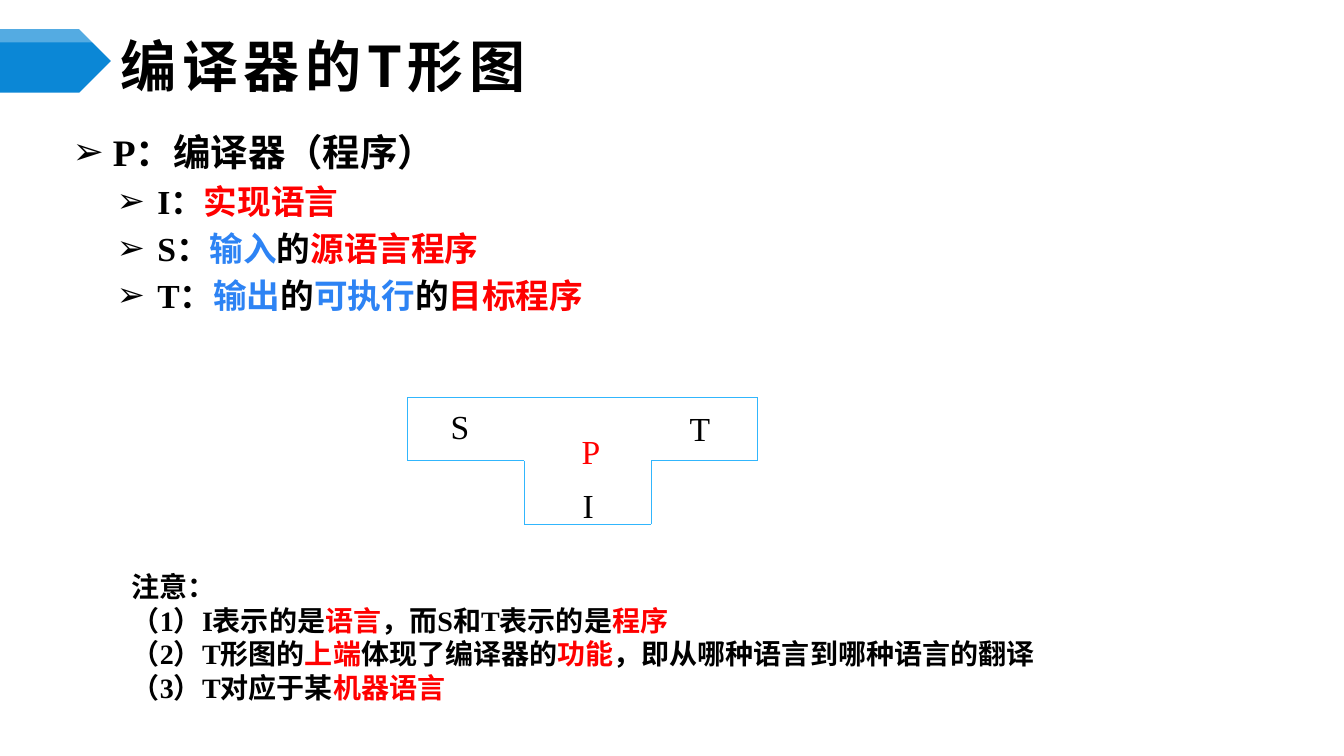
"""Builds the slide on the T-shaped diagram of a compiler."""
from lxml import etree
from pptx import Presentation, util as u
from pptx.dml.color import RGBColor
from pptx.enum import shapes, text
from pptx.oxml.ns import qn

PX = 9144
INK = {"black": "000000", "red": "FF0000", "blue": "2D83F4",
       "line": "31B6FD", "flag": "0B87D6", "white": "FFFFFF"}
SERIF = "Times New Roman"
SANS = "Noto Sans CJK SC"


def place(item, left, top, width, height):
    item.left, item.top = left * PX, top * PX
    item.width, item.height = width * PX, height * PX


def write(para, parts, size, face, bold=True):
    for words, ink in parts:
        run = para.add_run()
        run.text = words
        font = run.font
        font.size, font.name, font.bold = u.Pt(size), face, bold
        font.color.rgb = RGBColor.from_string(INK[ink])


deck = Presentation()
deck.slide_width, deck.slide_height = 1333 * PX, 750 * PX
slide = deck.slides.add_slide(deck.slide_layouts[1])
title, body = slide.placeholders

place(title, 110, 39, 1156, 52)
frame = title.text_frame
frame.auto_size = text.MSO_AUTO_SIZE.NONE
frame.vertical_anchor = text.MSO_ANCHOR.MIDDLE
head = frame.paragraphs[0]
head.alignment = text.PP_ALIGN.LEFT
write(head, [("编译器的T形图", "black")], 40, SANS)
props = head.runs[0].font._element
props.set("spc", "400")
etree.SubElement(props, qn("a:ea")).set("typeface", SANS)

items = [
    [("P：编译器（程序）", "black")],
    [("I：", "black"), ("实现语言", "red")],
    [("S：", "black"), ("输入", "blue"), ("的", "black"), ("源语言程序", "red")],
    [("T：", "black"), ("输出", "blue"), ("的", "black"), ("可执行", "blue"),
     ("的", "black"), ("目标程序", "red")],
]
place(body, 62, 123, 1129, 536)
frame = body.text_frame
frame.auto_size = text.MSO_AUTO_SIZE.NONE
for row, parts in enumerate(items):
    para = frame.add_paragraph() if row else frame.paragraphs[0]
    para.level = min(row, 1)
    para.alignment = text.PP_ALIGN.JUSTIFY
    para.space_before = u.Pt(4.8 if row else 0)
    props = para._p.get_or_add_pPr()
    props.set("marL", str((84 if row else 40) * PX))
    props.set("indent", str(-40 * PX))
    etree.SubElement(props, qn("a:buFont")).set("typeface", "Arial")
    etree.SubElement(props, qn("a:buChar")).set("char", "➢")
    write(para, parts, 24 if row else 26.7, SERIF)

for ink, high in [("flag", 63), ("white", 13)]:
    flag = slide.shapes.add_shape(shapes.MSO_SHAPE.PENTAGON, 0, 29 * PX, 110 * PX, high * PX)
    flag.shadow.inherit = False
    flag.fill.solid()
    flag.fill.fore_color.rgb = RGBColor.from_string(INK[ink])
    flag.line.fill.background()
tint = flag._element.spPr.find(qn("a:solidFill"))[0]
etree.SubElement(tint, qn("a:alpha")).set("val", "30000")

bends = [(404, 394), (751, 394), (751, 457), (646, 457),
         (646, 520), (520, 520), (520, 457), (404, 457)]
for start, end in zip(bends, bends[1:] + bends[:1]):
    edge = slide.shapes.add_connector(
        shapes.MSO_CONNECTOR.STRAIGHT, *(n * PX for n in start + end))
    edge.line.color.rgb = RGBColor.from_string(INK["line"])
    edge.line.width = u.Pt(0.75)
    etree.SubElement(edge._element.spPr, qn("a:effectLst"))

marks = [("P", 567, 423, 39, "red"), ("S", 437, 398, 39, "black"),
         ("T", 674, 400, 41, "black"), ("I", 568, 476, 31, "black")]
for mark, left, top, width, ink in marks:
    box = slide.shapes.add_textbox(left * PX, top * PX, width * PX, 50 * PX)
    box.text_frame.word_wrap = False
    box.text_frame.auto_size = text.MSO_AUTO_SIZE.SHAPE_TO_FIT_TEXT
    write(box.text_frame.paragraphs[0], [(mark, ink)], 24, SERIF, False)

notes = [
    [("注意：", "black")],
    [("（1）I表示的是", "black"), ("语言", "red"), ("，而S和T表示的是", "black"),
     ("程序", "red")],
    [("（2）T形图的", "black"), ("上端", "red"), ("体现了编译器的", "black"),
     ("功能", "red"), ("，即从哪种语言到哪种语言的翻译", "black")],
    [("（3）T对应于某", "black"), ("机器语言", "red")],
]
box = slide.shapes.add_textbox(121 * PX, 560 * PX, 1049 * PX, 145 * PX)
frame = box.text_frame
frame.word_wrap = True
frame.auto_size = text.MSO_AUTO_SIZE.SHAPE_TO_FIT_TEXT
for row, parts in enumerate(notes):
    para = frame.add_paragraph() if row else frame.paragraphs[0]
    write(para, parts, 20, SERIF if row else "Calibri")

deck.save("out.pptx")
